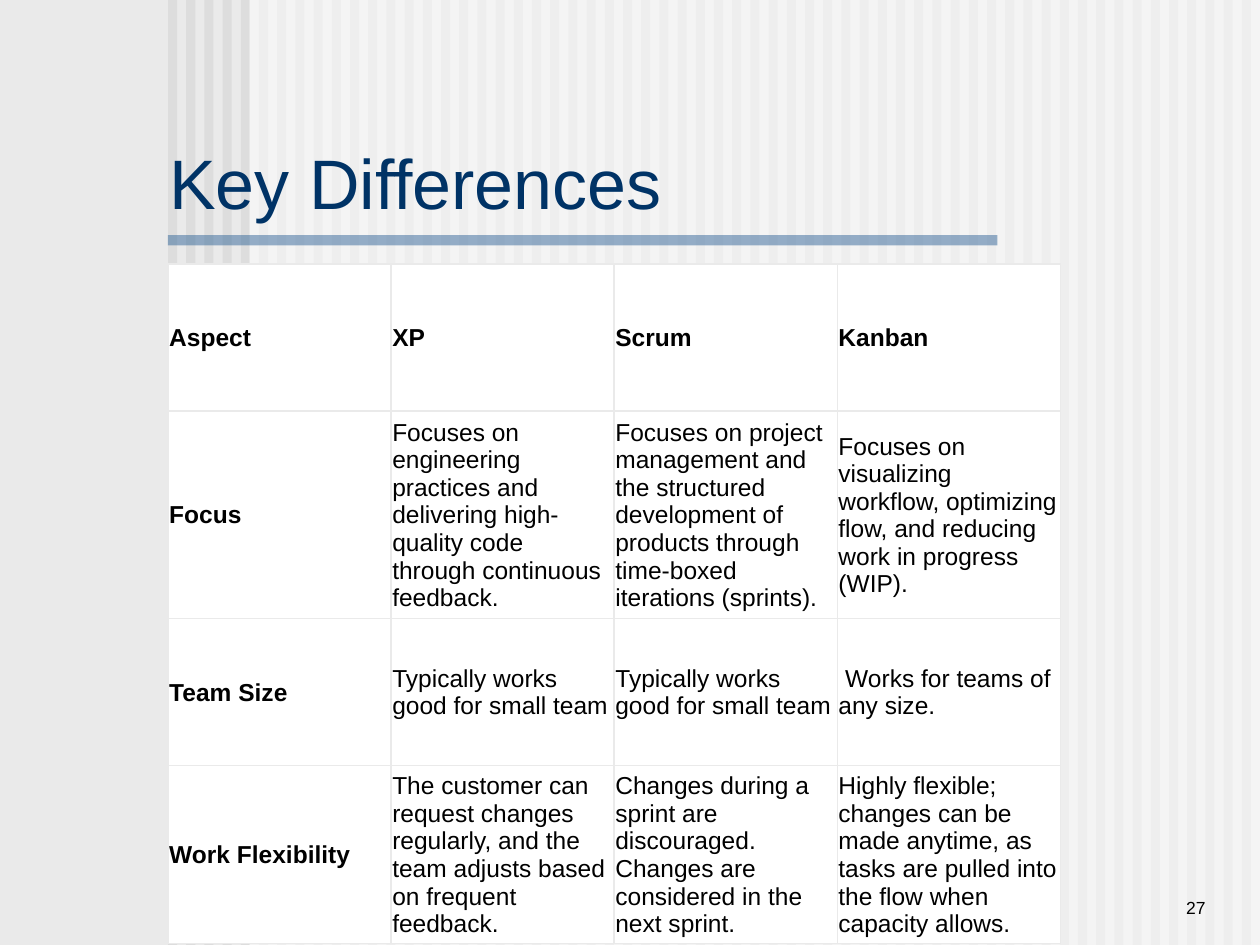
"""Build a slide comparing XP, Scrum and Kanban over a striped background."""
from lxml.etree import SubElement
from pptx import Presentation
from pptx.dml.color import RGBColor
from pptx.enum.shapes import MSO_SHAPE
from pptx.enum.text import MSO_ANCHOR, MSO_AUTO_SIZE, PP_ALIGN
from pptx.oxml.ns import qn
from pptx.util import Pt

TITLE = "Key Differences"
PAGE_NUMBER = "27"
ROWS = [
    ("Aspect", "XP", "Scrum", "Kanban"),
    (
        "Focus",
        "Focuses on engineering practices and delivering high-quality code through continuous feedback.",
        "Focuses on project management and the structured development of products "
        "through time-boxed iterations (sprints).",
        "Focuses on visualizing workflow, optimizing flow, and reducing work in progress (WIP).",
    ),
    (
        "Team Size",
        "Typically works good for small team",
        "Typically works good for small team",
        " Works for teams of any size.",
    ),
    (
        "Work Flexibility",
        "The customer can request changes regularly, and the team adjusts based on frequent feedback.",
        "Changes during a sprint are discouraged. Changes are considered in the next sprint.",
        "Highly flexible; changes can be made anytime, as tasks are pulled into the flow "
        "when capacity allows.",
    ),
]
ROW_HEIGHTS = [84.2, 118.2, 84.2, 101.4]
COLUMN_WIDTH = 127.5

FONT = "Arial"
BLACK = RGBColor(0x00, 0x00, 0x00)
WHITE = RGBColor(0xFF, 0xFF, 0xFF)
PALE_GRAY = RGBColor(0xEA, 0xEA, 0xEA)
STRIPE_GRAY = RGBColor(0xDD, 0xDD, 0xDD)
NAVY = RGBColor(0x00, 0x33, 0x66)
BLUE = RGBColor(0x33, 0x66, 0x99)

PAGE_WIDTH, PAGE_HEIGHT = 720, 540
LEFT = 96
STRIPE_COUNT, STRIPE_WIDTH, STRIPE_PITCH = 60, 5.2, 10.4


def add_band(page, left, top, width, height, color, opacity=None):
    band = page.shapes.add_shape(
        MSO_SHAPE.RECTANGLE, Pt(left), Pt(top), Pt(width), Pt(height)
    )
    band.shadow.inherit = False
    band.line.fill.background()
    band.fill.solid()
    band.fill.fore_color.rgb = color
    if opacity is not None:
        swatch = band.element.spPr.find(qn("a:solidFill"))[0]
        SubElement(swatch, qn("a:alpha"), val=str(opacity * 1000))


def write(para, text, size, color, bold=False):
    span = para.add_run()
    span.text = text
    span.font.name = FONT
    span.font.size = Pt(size)
    span.font.bold = bold
    span.font.color.rgb = color


def set_margins(frame, left, top, right, bottom):
    frame.margin_left, frame.margin_top = Pt(left), Pt(top)
    frame.margin_right, frame.margin_bottom = Pt(right), Pt(bottom)


def add_borders(cell):
    properties = cell._tc.get_or_add_tcPr()
    for position, side in enumerate(("a:lnL", "a:lnR", "a:lnT", "a:lnB")):
        border = properties.makeelement(qn(side), {"w": str(Pt(1))})
        fill = SubElement(border, qn("a:solidFill"))
        SubElement(fill, qn("a:srgbClr"), val=str(PALE_GRAY))
        properties.insert(position, border)


def add_background(page):
    page.background.fill.solid()
    page.background.fill.fore_color.rgb = PALE_GRAY
    for index in range(STRIPE_COUNT):
        left = LEFT + index * STRIPE_PITCH
        add_band(page, left, 0, STRIPE_WIDTH, PAGE_HEIGHT, STRIPE_GRAY)
    add_band(page, 142.5, 0, PAGE_WIDTH - 142.5, PAGE_HEIGHT, WHITE, 50)
    add_band(page, LEFT, 134.4, 474, 5.8, BLUE, 50)


def add_page_number(page):
    box = page.shapes.add_textbox(Pt(594), Pt(492), Pt(102), Pt(36))
    frame = box.text_frame
    frame.word_wrap = True
    frame.vertical_anchor = MSO_ANCHOR.BOTTOM
    para = frame.paragraphs[0]
    para.alignment = PP_ALIGN.RIGHT
    write(para, PAGE_NUMBER, 10, BLACK)


def add_comparison(page):
    columns = len(ROWS[0])
    table = page.shapes.add_table(
        len(ROWS), columns, Pt(LEFT), Pt(150.8),
        Pt(columns * COLUMN_WIDTH), Pt(sum(ROW_HEIGHTS)),
    ).table
    for column in table.columns:
        column.width = Pt(COLUMN_WIDTH)
    for row_index, texts in enumerate(ROWS):
        table.rows[row_index].height = Pt(ROW_HEIGHTS[row_index])
        for column_index, text in enumerate(texts):
            cell = table.cell(row_index, column_index)
            cell.fill.solid()
            cell.fill.fore_color.rgb = WHITE
            cell.vertical_anchor = MSO_ANCHOR.MIDDLE
            set_margins(cell, 0.7, 0.7, 0.7, 0)
            heading = row_index == 0 or column_index == 0
            write(cell.text_frame.paragraphs[0], text, 14, BLACK, heading)
            add_borders(cell)


def place_title(page):
    title = page.shapes.title
    title.left, title.top = Pt(LEFT), Pt(77.8)
    title.width, title.height = Pt(528), Pt(49.7)
    frame = title.text_frame
    frame.word_wrap = True
    frame.auto_size = MSO_AUTO_SIZE.SHAPE_TO_FIT_TEXT
    frame.vertical_anchor = MSO_ANCHOR.BOTTOM
    set_margins(frame, 0.7, 0.7, 0, 0)
    para = frame.paragraphs[0]
    para.alignment = PP_ALIGN.LEFT
    write(para, TITLE, 40, NAVY)
    title.element.getparent().append(title.element)


def main():
    deck = Presentation()
    deck.slide_width, deck.slide_height = Pt(PAGE_WIDTH), Pt(PAGE_HEIGHT)
    page = deck.slides.add_slide(deck.slide_layouts.get_by_name("Title Only"))
    add_background(page)
    add_page_number(page)
    add_comparison(page)
    place_title(page)
    deck.save("out.pptx")


if __name__ == "__main__":
    main()
